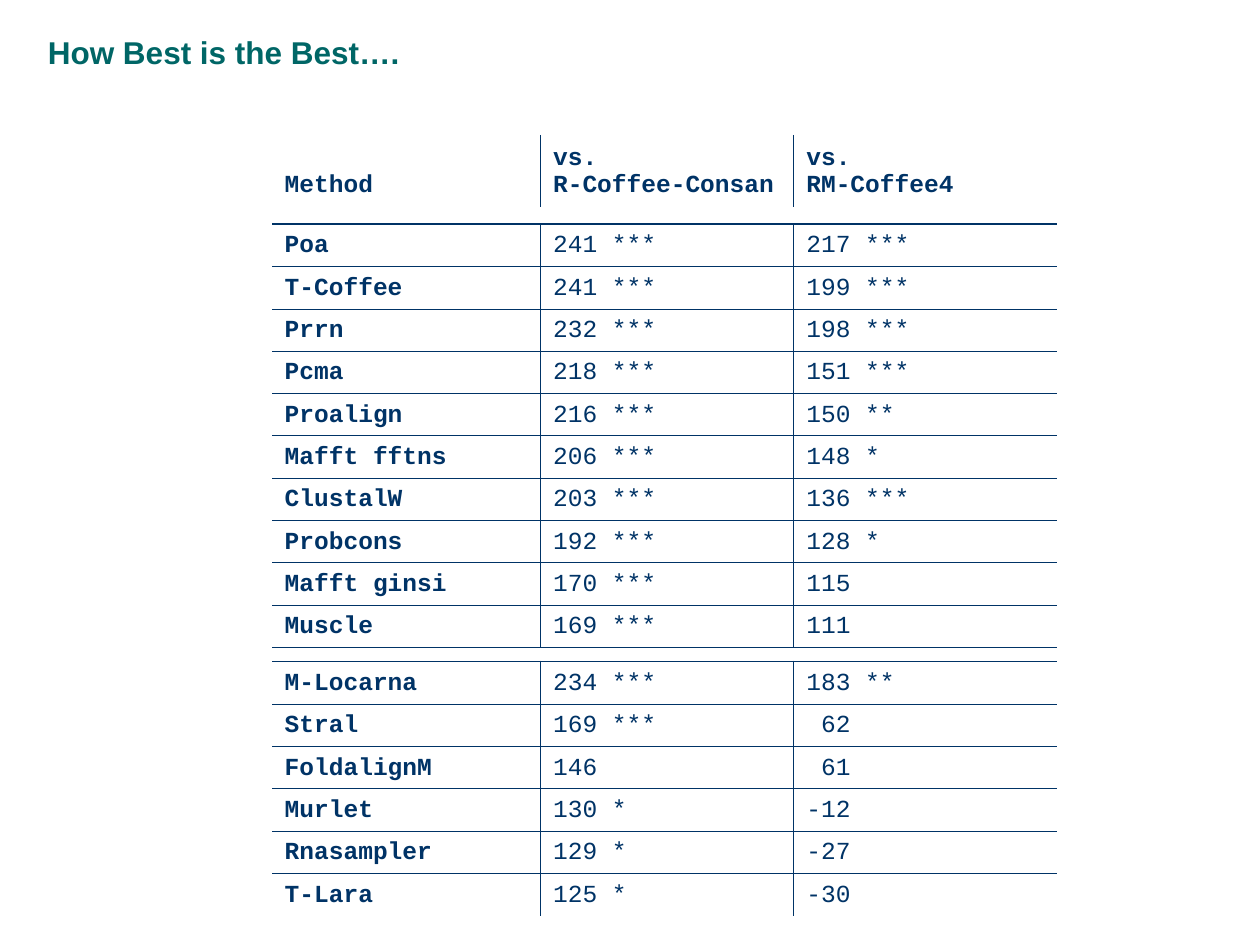
from lxml.etree import SubElement
from pptx import Presentation
from pptx.dml.color import RGBColor
from pptx.enum.text import MSO_ANCHOR, MSO_AUTO_SIZE, PP_ALIGN
from pptx.oxml.ns import qn
from pptx.util import Inches, Pt

TEAL = RGBColor(0x00, 0x66, 0x66)
NAVY = RGBColor(0x00, 0x33, 0x66)

THIN, THICK = Pt(0.45), Pt(1.08)
TABLE_LEFT = 2.16
COLUMN_WIDTHS = (2.13, 2.01, 2.09)
NO_STYLE = "{2D5ABB26-0587-4C30-8999-92F81FD0307C}"

SPACER = [("", "", "")]
HEADER = [("Method", "vs.\nR-Coffee-Consan", "vs.\nRM-Coffee4")]
SEQUENCE_METHODS = [
    ("Poa", "241 ***", "217 ***"),
    ("T-Coffee", "241 ***", "199 ***"),
    ("Prrn", "232 ***", "198 ***"),
    ("Pcma", "218 ***", "151 ***"),
    ("Proalign", "216 ***", "150 **"),
    ("Mafft fftns", "206 ***", "148 *"),
    ("ClustalW", "203 ***", "136 ***"),
    ("Probcons", "192 ***", "128 *"),
    ("Mafft ginsi", "170 ***", "115"),
    ("Muscle", "169 ***", "111"),
]
STRUCTURE_METHODS = [
    ("M-Locarna", "234 ***", "183 **"),
    ("Stral", "169 ***", " 62"),
    ("FoldalignM", "146", " 61"),
    ("Murlet", "130 *", "-12"),
    ("Rnasampler", "129 *", "-27"),
    ("T-Lara", "125 *", "-30"),
]


def add_title(slide, text):
    title = slide.shapes.title
    title.left, title.top = Inches(0.28), Inches(0.21)
    title.width, title.height = Inches(2.99), Inches(0.4)
    frame = title.text_frame
    frame.text = text
    # The line fills the box, so the right margin is given up
    frame.margin_right = 0
    frame.word_wrap = False
    frame.auto_size = MSO_AUTO_SIZE.NONE
    frame.vertical_anchor = MSO_ANCHOR.TOP
    paragraph = frame.paragraphs[0]
    paragraph.alignment = PP_ALIGN.LEFT
    format_font(paragraph.font, "Arial", 18, TEAL, True)


def format_font(font, name, size, color, bold):
    font.name = name
    font.size = Pt(size)
    font.bold = bold
    font.color.rgb = color


def set_borders(cell, left, right, top, bottom):
    """Draw the cell's edges; a width of 0 leaves an edge open."""
    properties = cell._tc.get_or_add_tcPr()
    edges = zip(("a:lnL", "a:lnR", "a:lnT", "a:lnB"), (left, right, top, bottom))
    for position, (tag, width) in enumerate(edges):
        line = SubElement(properties, qn(tag), w=str(int(width)))
        if width:
            fill = SubElement(line, qn("a:solidFill"))
            SubElement(fill, qn("a:srgbClr"), val=str(NAVY))
        else:
            SubElement(line, qn("a:noFill"))
        # Borders come before the fill
        properties.insert(position, line)


def fill_cell(cell, text, bold):
    cell.fill.background()
    cell.vertical_anchor = MSO_ANCHOR.BOTTOM
    cell.text = text
    for paragraph in cell.text_frame.paragraphs:
        format_font(paragraph.font, "Courier New", 14, NAVY, bold)


def add_score_table(slide, top, height, rows, inner_line=THIN,
                    top_line=0, bottom_line=0, header=False):
    frame = slide.shapes.add_table(
        len(rows), len(COLUMN_WIDTHS), Inches(TABLE_LEFT), Inches(top),
        Inches(sum(COLUMN_WIDTHS)), Inches(height))
    table = frame.table
    table.first_row = table.horz_banding = False
    table._tbl.tblPr.find(qn("a:tableStyleId")).text = NO_STYLE
    for column, width in zip(table.columns, COLUMN_WIDTHS):
        column.width = Inches(width)

    last_row, last_column = len(rows) - 1, len(COLUMN_WIDTHS) - 1
    for r, values in enumerate(rows):
        for c, value in enumerate(values):
            cell = table.cell(r, c)
            fill_cell(cell, value, bold=header or c == 0)
            set_borders(
                cell,
                left=inner_line if c > 0 else 0,
                right=inner_line if c < last_column else 0,
                top=inner_line if r > 0 else top_line,
                bottom=inner_line if r < last_row else bottom_line)


def main():
    presentation = Presentation()
    presentation.slide_width, presentation.slide_height = Inches(10), Inches(7.5)
    slide = presentation.slides.add_slide(presentation.slide_layouts[5])

    # Open spacer row behind the column headings
    add_score_table(slide, 0.99, 0.34, SPACER, inner_line=0)

    add_title(slide, "How Best is the Best….")

    # Lower group, upper group, then the column headings
    add_score_table(slide, 5.25, 2.02, STRUCTURE_METHODS, top_line=THICK)
    add_score_table(slide, 1.78, 3.36, SEQUENCE_METHODS,
                    top_line=THICK, bottom_line=THICK)
    add_score_table(slide, 1.07, 0.57, HEADER, header=True)

    presentation.save("out.pptx")


if __name__ == "__main__":
    main()
